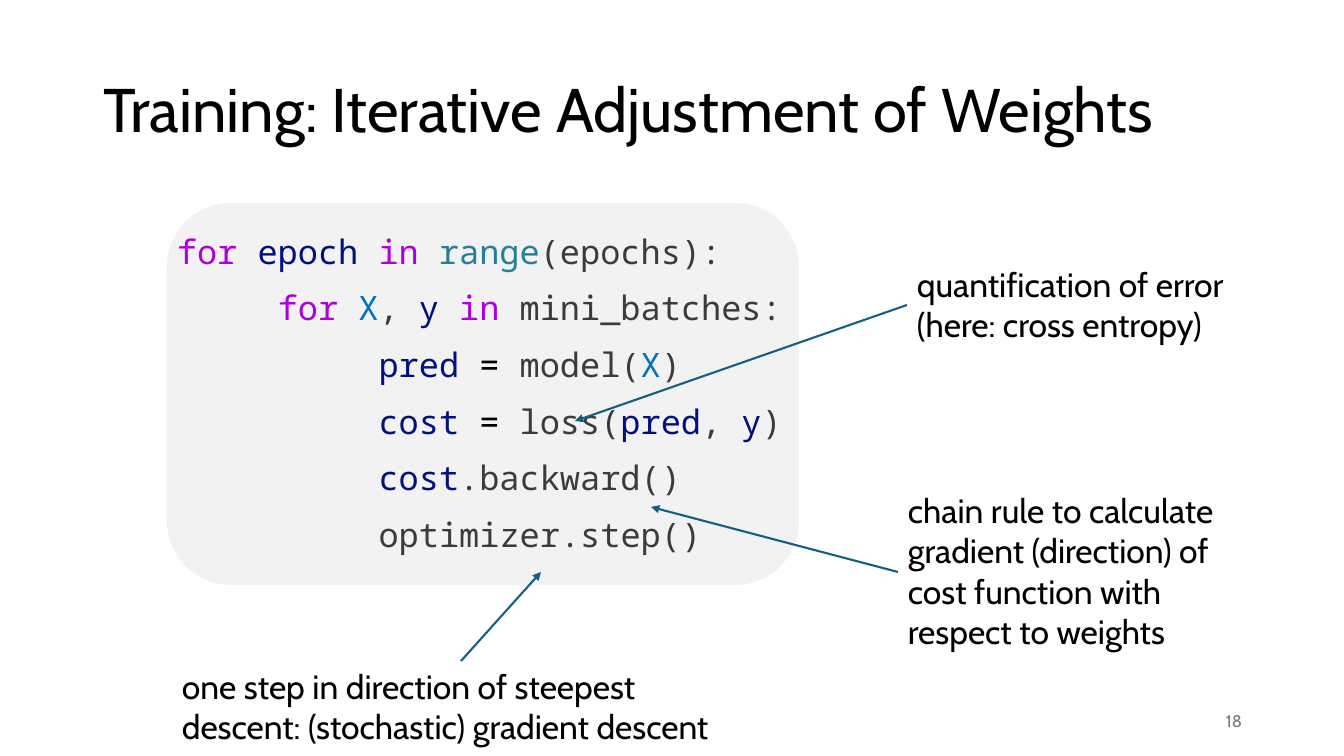
from lxml import etree
from pptx import Presentation
from pptx.dml.color import RGBColor
from pptx.enum.shapes import MSO_CONNECTOR, MSO_SHAPE
from pptx.enum.text import MSO_ANCHOR as Anchor, MSO_AUTO_SIZE as AutoSize, PP_ALIGN as Align
from pptx.oxml.ns import qn
from pptx.util import Emu, Pt

PX = 914400 / 100.8
TAB = 914400
SANS, MONO = "Cabin", "Noto Sans Mono"
COLORS = {
    "text": "000000", "page_number": "797979", "panel": "F2F2F2", "arrow": "156082",
    "keyword": "AF00DB", "variable": "001080", "builtin": "267F99",
    "constant": "0070C1", "plain": "3B3B3B", "operator": "000000",
}

# Each code line: indent level, then (text, colour name) tokens
CODE = [
    (0, [("for ", "keyword"), ("epoch ", "variable"), ("in ", "keyword"),
         ("range", "builtin"), ("(epochs):", "plain")]),
    (1, [("for ", "keyword"), ("X", "constant"), (", ", "plain"), ("y ", "variable"),
         ("in ", "keyword"), ("mini_batches:", "plain")]),
    (2, [("pred ", "variable"), ("= ", "operator"), ("model(", "plain"),
         ("X", "constant"), (")", "plain")]),
    (2, [("cost ", "variable"), ("= ", "operator"), ("loss(", "plain"),
         ("pred", "variable"), (", ", "plain"), ("y", "variable"), (")", "plain")]),
    (2, [("cost", "variable"), (".backward()", "plain")]),
    (2, [("optimizer.step()", "plain")]),
]

# Each note: text, box, arrow start, arrow tip (points relative to the box)
NOTES = [
    ("one step in direction of steepest descent: (stochastic) gradient descent",
     (172, 661, 577, 92), (289, 0), (369, -89)),
    ("quantification of error (here: cross entropy)",
     (907, 259, 335, 92), (0, 46), (-332, 162)),
    ("chain rule to calculate gradient (direction) of cost function with respect to weights",
     (898, 485, 345, 173), (0, 87), (-247, 22)),
]


def px(*values):
    return [Emu(round(value * PX)) for value in values]


def color(name):
    return RGBColor.from_string(COLORS[name])


def style(span, size, color_name="text", font=SANS):
    span.font.name = font
    span.font.size = Pt(size)
    span.font.color.rgb = color(color_name)


def add_text(slide, box, text, size, color_name="text", anchor=Anchor.TOP, align=Align.LEFT):
    frame = slide.shapes.add_textbox(*px(*box)).text_frame
    frame.word_wrap = True
    frame.vertical_anchor = anchor
    frame.text = text
    para = frame.paragraphs[0]
    para.alignment = align
    style(para.runs[0], size, color_name)


def add_title(slide, box, text):
    title = slide.shapes.title
    title.left, title.top, title.width, title.height = px(*box)
    frame = title.text_frame
    frame.auto_size = AutoSize.NONE
    frame.word_wrap = True
    frame.vertical_anchor = Anchor.MIDDLE
    frame.text = text
    para = frame.paragraphs[0]
    para.alignment = Align.LEFT
    para.line_spacing = 0.9
    style(para.runs[0], 44)


def add_code(slide, box):
    left, top, width, height = box
    # Rounded panel
    panel = slide.shapes.add_shape(MSO_SHAPE.ROUNDED_RECTANGLE, *px(*box))
    panel.shadow.inherit = False
    panel.fill.solid()
    panel.fill.fore_color.rgb = color("panel")
    panel.line.fill.background()

    # Code lines
    listing = slide.shapes.add_textbox(*px(left, top + 44, width, height - 51))
    frame = listing.text_frame
    frame.word_wrap = True
    for number, (level, tokens) in enumerate(CODE):
        para = frame.add_paragraph() if number else frame.paragraphs[0]
        stops = etree.SubElement(para._p.get_or_add_pPr(), qn("a:tabLst"))
        for stop in (1, 2):
            etree.SubElement(stops, qn("a:tab"), pos=str(stop * TAB), algn="l")
        para.line_spacing = Pt(13.5)
        para.space_before = Pt(27 if number else 0)
        for position, (text, color_name) in enumerate(tokens):
            span = para.add_run()
            span.text = text if position else "\t" * level + text
            style(span, 24, color_name, MONO)


def add_arrow(slide, start, tip):
    arrow = slide.shapes.add_connector(MSO_CONNECTOR.STRAIGHT, *px(*start, *tip))
    arrow.line.color.rgb = color("arrow")
    arrow.line.width = Pt(1.5)
    etree.SubElement(arrow.line._get_or_add_ln(), qn("a:tailEnd"), type="triangle")
    etree.SubElement(arrow._element.spPr, qn("a:effectLst"))


def add_note(slide, box, text, start, tip):
    left, top = box[:2]
    add_text(slide, box, text, 24)
    add_arrow(slide, *[(left + x, top + y) for x, y in (start, tip)])


def main():
    deck = Presentation()
    deck.slide_width, deck.slide_height = px(1344, 756)
    slide = deck.slides.add_slide(deck.slide_layouts[5])

    add_title(slide, (93, 40, 1159, 146), "Training: Iterative Adjustment of Weights")
    add_text(slide, (950, 701, 302, 40), "18", 12, "page_number", Anchor.MIDDLE, Align.RIGHT)
    add_code(slide, (167, 203, 632, 382))
    for text, box, start, tip in NOTES:
        add_note(slide, box, text, start, tip)

    deck.save("out.pptx")


if __name__ == "__main__":
    main()
